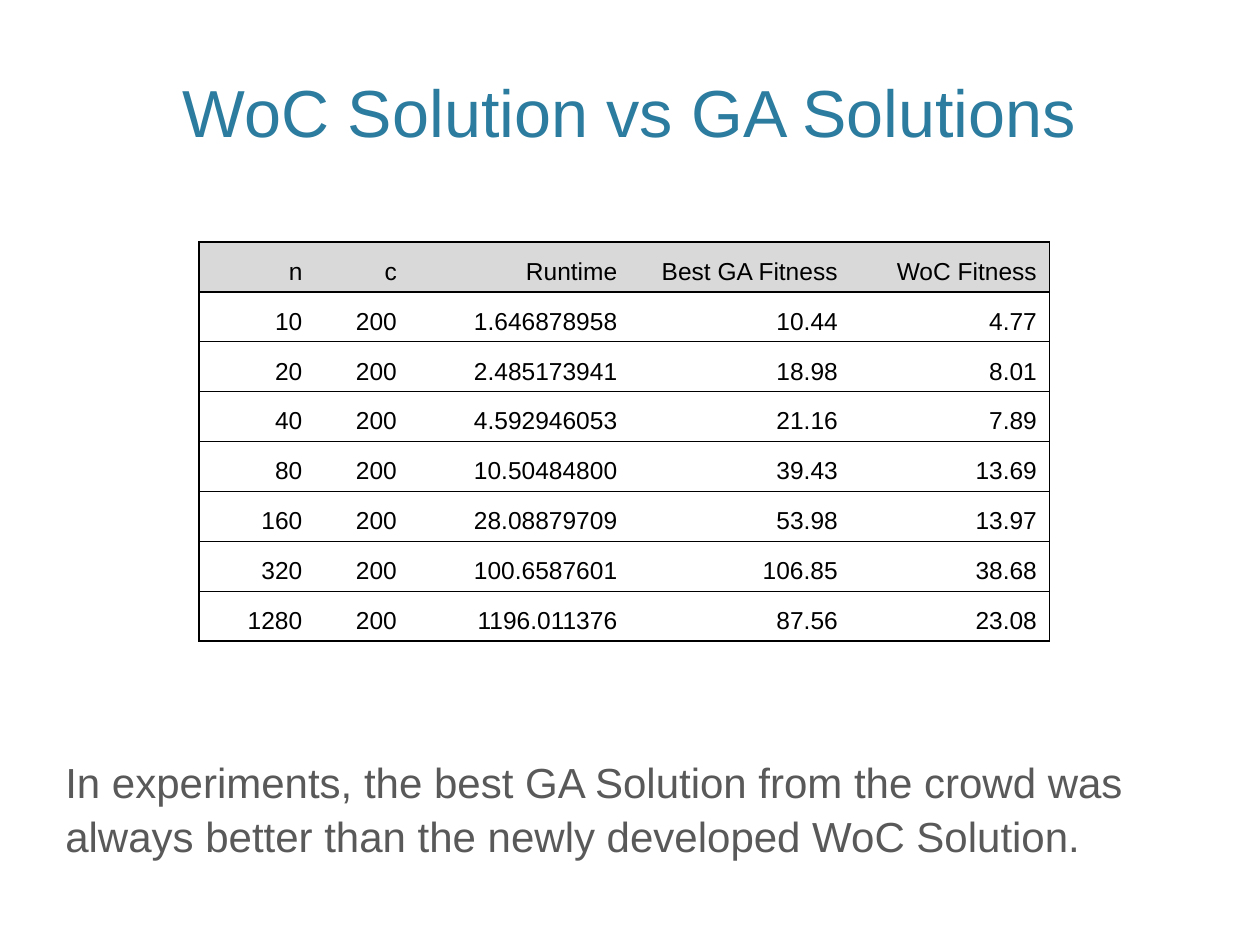
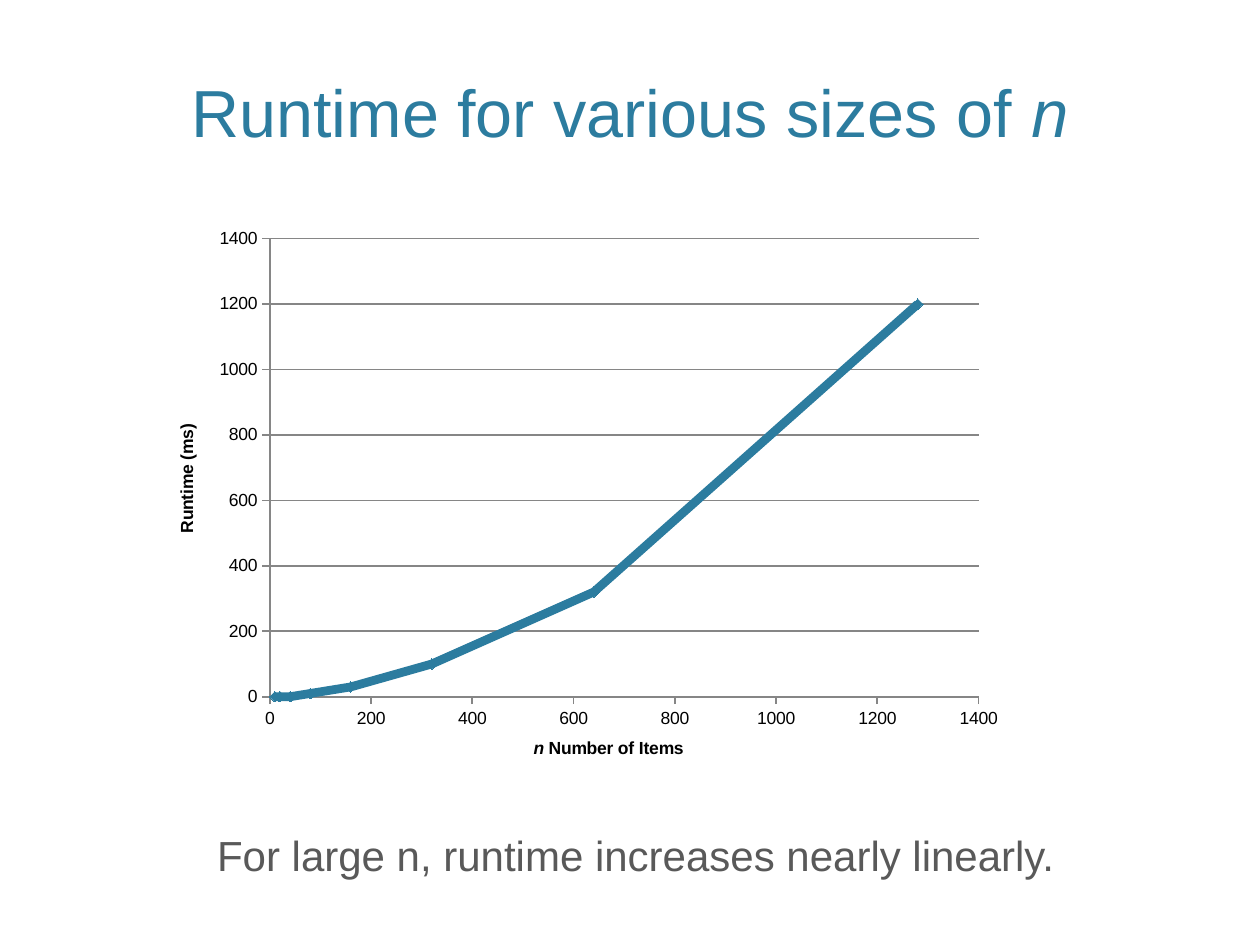
from lxml.etree import SubElement
from pptx import Presentation
from pptx.chart.data import XyChartData
from pptx.dml.color import RGBColor
from pptx.enum.chart import XL_CHART_TYPE, XL_MARKER_STYLE, XL_TICK_LABEL_POSITION, XL_TICK_MARK
from pptx.enum.text import MSO_ANCHOR, PP_ALIGN
from pptx.oxml import parse_xml
from pptx.oxml.ns import nsdecls, qn
from pptx.util import Inches, Pt

FONT = "Arial"
TEAL, GRAY, BLACK, WHITE = "2C7C9F", "595959", "000000", "FFFFFF"
HEAD, GRID = "D9D9D9", "868686"
TITLE = (0.6, 0.12, 8.8, 1.13)

COLS = (0.92, 0.75, 1.75, 1.75, 1.58)
ROWS = (
    ("n", "c", "Runtime", "Best GA Fitness", "WoC Fitness"),
    ("10", "200", "1.646878958", "10.44", "4.77"),
    ("20", "200", "2.485173941", "18.98", "8.01"),
    ("40", "200", "4.592946053", "21.16", "7.89"),
    ("80", "200", "10.50484800", "39.43", "13.69"),
    ("160", "200", "28.08879709", "53.98", "13.97"),
    ("320", "200", "100.6587601", "106.85", "38.68"),
    ("1280", "200", "1196.011376", "87.56", "23.08"),
)
TIMES = (0, 0, 0, 10, 30, 100, 320, 1200)


def color(code):
    """Turn a hex string into a colour."""
    return RGBColor.from_string(code)


def style(font, size, code, bold=False):
    """Set the face, size, colour and weight of a font."""
    font.name, font.size, font.bold = FONT, Pt(size), bold
    font.color.rgb = color(code)


def write(para, *runs):
    """Add runs to a paragraph, with each lone n run in italics."""
    for text in runs:
        run = para.add_run()
        run.text = text
        if text == "n":
            run.font.italic = True


def add_text(slide, box, runs, size, code, align, anchor):
    """Put one paragraph in a wrapping text box and return it."""
    frame = slide.shapes.add_textbox(*map(Inches, box)).text_frame
    frame.word_wrap = True
    frame.vertical_anchor = anchor
    para = frame.paragraphs[0]
    para.alignment = align
    style(para.font, size, code)
    write(para, *runs)
    return para


def add_title(slide, *runs):
    """Place the slide title."""
    add_text(slide, TITLE, runs, 38, TEAL, PP_ALIGN.CENTER, MSO_ANCHOR.BOTTOM)


def add_note(slide, box, text, align):
    """Place the closing remark under the data."""
    para = add_text(slide, box, [text], 24, GRAY, align, MSO_ANCHOR.TOP)
    para.space_before = Pt(20)
    para.line_spacing = 1.08


def add_edges(cell, shown):
    """Draw the named cell edges in black and clear the others."""
    props = cell._tc.get_or_add_tcPr()
    for spot, side in enumerate("LRTB"):
        line = SubElement(props, qn(f"a:ln{side}"), w=str(Pt(1)))
        if side in shown:
            fill = SubElement(line, qn("a:solidFill"))
            SubElement(fill, qn("a:srgbClr"), val=BLACK)
        else:
            SubElement(line, qn("a:noFill"))
        props.insert(spot, line)


def add_grid(slide, box):
    """Build the table of results."""
    frame = slide.shapes.add_table(len(ROWS), len(COLS), *map(Inches, box))
    table = frame.table
    table.first_row = table.horz_banding = False
    for col, width in zip(table.columns, COLS):
        col.width = Inches(width)
    for r, row in enumerate(ROWS):
        for c, text in enumerate(row):
            cell = table.cell(r, c)
            cell.fill.solid()
            cell.fill.fore_color.rgb = color(WHITE if r else HEAD)
            cell.vertical_anchor = MSO_ANCHOR.BOTTOM
            para = cell.text_frame.paragraphs[0]
            para.text = text
            para.alignment = PP_ALIGN.RIGHT
            style(para.font, 14, BLACK)
            ends = {0: "L", len(COLS) - 1: "R"}
            add_edges(cell, "TB" + ends.get(c, ""))


def set_axis(axis, *runs):
    """Give an axis its title, scale, ticks and line."""
    para = axis.axis_title.text_frame.paragraphs[0]
    style(para.font, 10, BLACK, True)
    write(para, *runs)
    axis.minimum_scale, axis.maximum_scale, axis.major_unit = 0, 1400, 200
    axis.major_tick_mark = XL_TICK_MARK.OUTSIDE
    axis.minor_tick_mark = XL_TICK_MARK.NONE
    axis.tick_label_position = XL_TICK_LABEL_POSITION.NEXT_TO_AXIS
    axis.tick_labels.number_format = "General"
    axis.tick_labels.number_format_is_linked = False
    axis.format.line.color.rgb = color(GRID)
    axis.format.line.width = Pt(1)


def set_plot(chart, x, y, w, h):
    """Fix the inner plot area as shares of the chart."""
    area = chart._chartSpace.chart.plotArea
    for old in area.findall(qn("c:layout")):
        area.remove(old)
    parts = {"xMode": "edge", "yMode": "edge", "x": x, "y": y, "w": w, "h": h}
    body = "".join(f'<c:{key} val="{val}"/>' for key, val in parts.items())
    area.insert(0, parse_xml(
        f'<c:layout {nsdecls("c")}><c:manualLayout>'
        f'<c:layoutTarget val="inner"/>{body}</c:manualLayout></c:layout>'))


def add_curve(slide, box):
    """Build the smooth chart of runtime against n."""
    data = XyChartData()
    points = data.add_series("Series 1")
    for step, time in enumerate(TIMES):
        points.add_data_point(10 * 2 ** step, time)
    kind = XL_CHART_TYPE.XY_SCATTER_SMOOTH
    chart = slide.shapes.add_chart(kind, *map(Inches, box), data).chart
    chart.has_legend = chart.has_title = False
    style(chart.font, 10, BLACK)
    chart.plots[0].vary_by_categories = False
    set_axis(chart.category_axis, "n", " Number of Items")
    set_axis(chart.value_axis, "Runtime (ms)")
    chart.category_axis.has_major_gridlines = False
    lines = chart.value_axis.major_gridlines.format.line
    lines.color.rgb = color(GRID)
    lines.width = Pt(1)
    curve = chart.plots[0].series[0]
    curve.smooth = True
    curve.format.line.color.rgb = color(TEAL)
    curve.format.line.width = Pt(5)
    curve.marker.style = XL_MARKER_STYLE.DIAMOND
    curve.marker.size = 6
    curve.marker.format.fill.solid()
    curve.marker.format.fill.fore_color.rgb = color(TEAL)
    curve.marker.format.line.color.rgb = color(TEAL)
    set_plot(chart, 0.13, 0.07, 0.82, 0.81)


def add_table_slide(slide):
    """Compare the two kinds of solution."""
    add_title(slide, "WoC Solution vs GA Solutions")
    add_note(slide, (0.42, 5.92, 9.25, 1.42),
             "In experiments, the best GA Solution from the crowd was always "
             "better than the newly developed WoC Solution.", PP_ALIGN.LEFT)
    add_grid(slide, (1.58, 1.92, sum(COLS), 3.17))


def add_chart_slide(slide):
    """Show how runtime grows with n."""
    add_title(slide, "Runtime for various sizes of ", "n")
    add_note(slide, (0.42, 6.5, 9.25, 0.83),
             "For large n, runtime increases nearly linearly.", PP_ALIGN.CENTER)
    add_curve(slide, (1.25, 1.58, 6.86, 4.49))


def main():
    """Build and save the deck."""
    deck = Presentation()
    deck.slide_width, deck.slide_height = Inches(10), Inches(7.5)
    for build in (add_table_slide, add_chart_slide):
        build(deck.slides.add_slide(deck.slide_layouts[6]))
    deck.save("out.pptx")


if __name__ == "__main__":
    main()
